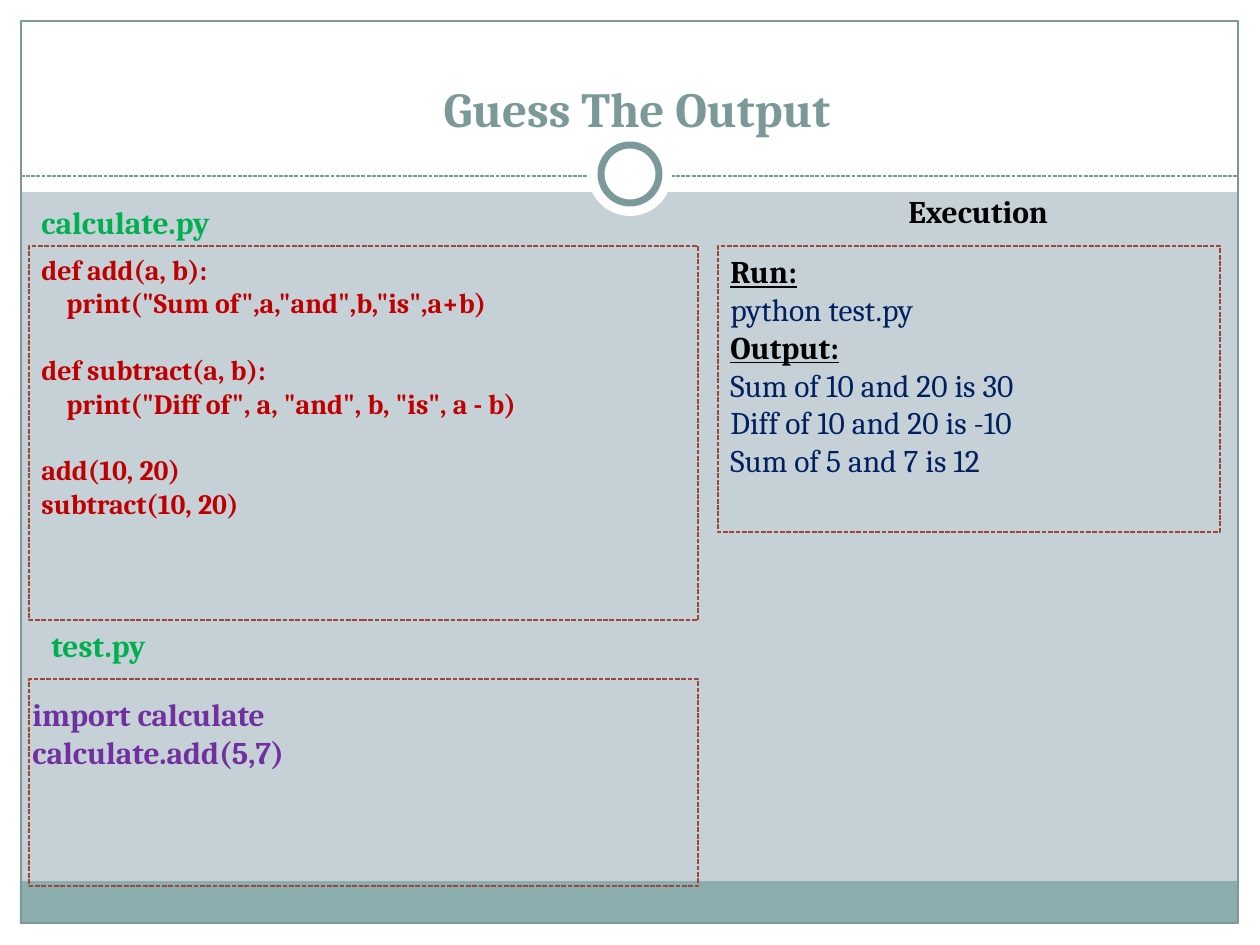
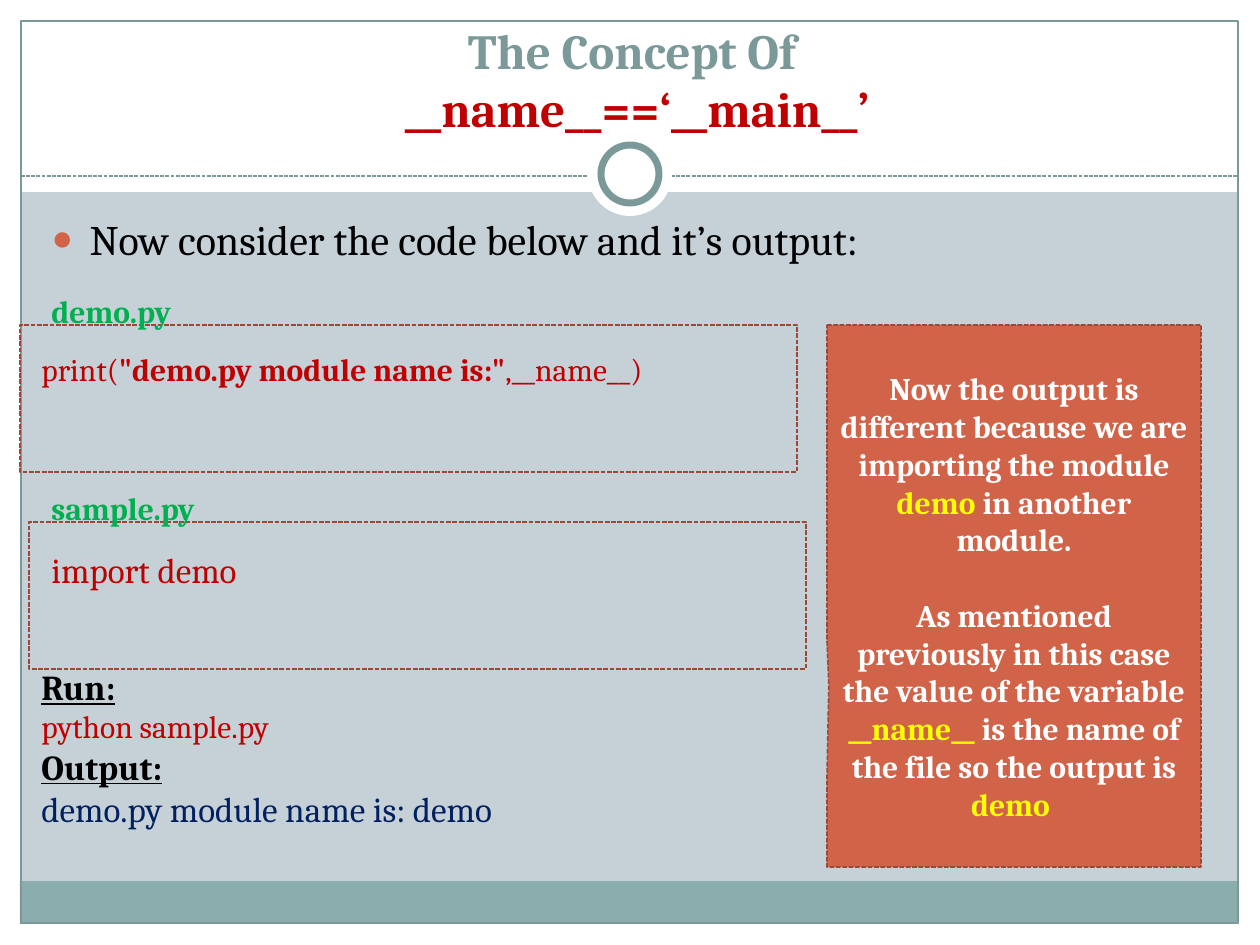
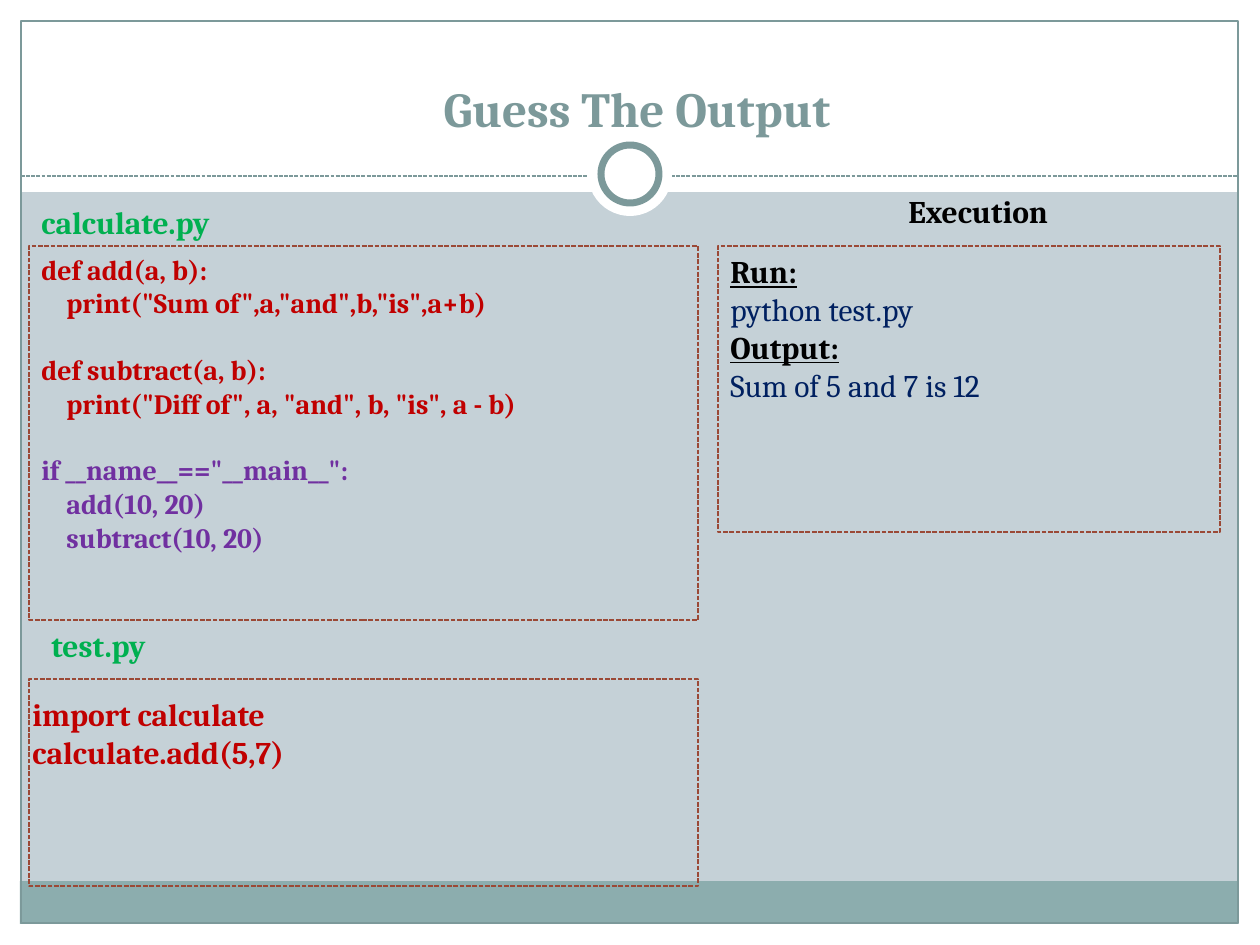
from dataclasses import dataclass
from typing import Any

from lxml import etree
from pptx import Presentation
from pptx.dml.color import RGBColor
from pptx.enum.dml import MSO_LINE
from pptx.enum.shapes import MSO_CONNECTOR, MSO_SHAPE
from pptx.enum.text import MSO_ANCHOR, MSO_AUTO_SIZE, PP_ALIGN
from pptx.oxml.ns import qn
from pptx.util import Pt

RECT, OVAL = MSO_SHAPE.RECTANGLE, MSO_SHAPE.OVAL
CALLOUT = MSO_SHAPE.RECTANGULAR_CALLOUT
STRAIGHT = MSO_CONNECTOR.STRAIGHT
DASH = MSO_LINE.SQUARE_DOT
CENTER = PP_ALIGN.CENTER
TOP, MIDDLE, BOTTOM = MSO_ANCHOR.TOP, MSO_ANCHOR.MIDDLE, MSO_ANCHOR.BOTTOM
FIXED = MSO_AUTO_SIZE.NONE

SCALE = 914400 / 126
WIDE, HIGH, EDGE = 1260, 945, 21
TITLE_ONLY, TITLE_BODY = 5, 1
FACE = "Cambria"
INDENT = 25  # one step of code indentation
COLORS = {
    "back": "C5D1D7", "white": "FFFFFF", "band": "8CADAE", "slate": "7C999A",
    "rust": "9B4936", "coral": "D16349", "red": "C00000", "green": "00B050",
    "navy": "002060", "violet": "7030A0", "black": "000000", "yellow": "FFFF00",
}


def emu(pixels):
    """Turn pixels into EMU."""
    return round(pixels * SCALE)


def rgb(name):
    """Look up a colour by name."""
    return RGBColor.from_string(COLORS[name])


def look(size, color, bold=False, underline=False):
    """Describe the format of a run."""
    return {"size": Pt(size), "color": color, "bold": bold, "underline": underline}


def row(*runs, indent=0, **form):
    """Describe a paragraph: runs of (text, look), indent and format."""
    return runs, indent, form


def rows(texts, style):
    """Describe plain paragraphs that share one look."""
    return [row((text, style)) for text in texts]


HEAD = look(28, "slate", True)
FILE = look(18, "green", True)
LABEL = look(18, "black", True)
KEY = look(18, "black", True, True)
OUT = look(18, "navy")
CODE = look(16, "red", True)
MAIN = look(16, "violet", True)


@dataclass
class Deck:
    """The shared style and the current slide."""

    prs: Any
    slide: Any = None

    def start(self, kind, heads):
        """Add a slide with its title lines."""
        self.slide = self.prs.slides.add_slide(self.prs.slide_layouts[kind])
        self.place(self.slide.shapes.title, (49, 39, 1176, 105), heads, BOTTOM)

    def place(self, holder, box, lines, anchor=TOP):
        """Move a placeholder and fill it with text."""
        for name, value in zip(("left", "top", "width", "height"), box):
            setattr(holder, name, emu(value))
        self.fill_text(holder.text_frame, lines, anchor)

    def fill_text(self, frame, lines, anchor=TOP):
        """Fill a text frame with described paragraphs."""
        frame.word_wrap = True
        frame.auto_size = FIXED
        frame.vertical_anchor = anchor
        for i, (runs, indent, form) in enumerate(lines):
            para = frame.add_paragraph() if i else frame.paragraphs[0]
            for name, value in form.items():
                setattr(para, name, value)
            if indent:
                para._p.get_or_add_pPr().set("marL", str(emu(indent)))
            for text, style in runs:
                run = para.add_run()
                run.text = text
                run.font.name = FACE
                for name, value in style.items():
                    if name == "color":
                        run.font.color.rgb = rgb(value)
                    else:
                        setattr(run.font, name, value)

    def text(self, box, lines):
        """Add a text box."""
        shape = self.slide.shapes.add_textbox(*map(emu, box))
        self.fill_text(shape.text_frame, lines)

    def stroke(self, line, color, width, dash=None):
        """Format an outline or a line."""
        line.color.rgb = rgb(color)
        line.width = Pt(width)
        if dash:
            line.dash_style = dash

    def shape(self, kind, box, fill=None, line=None):
        """Add a preset shape; line is (colour, width, dash)."""
        shape = self.slide.shapes.add_shape(kind, *map(emu, box))
        shape.shadow.inherit = False
        if fill:
            shape.fill.solid()
            shape.fill.fore_color.rgb = rgb(fill)
        else:
            shape.fill.background()
        if line:
            self.stroke(shape.line, *line)
        else:
            shape.line.fill.background()
        return shape

    def frame(self, box, kind=RECT, fill=None):
        """Add a shape with the dashed rust outline."""
        return self.shape(kind, box, fill, ("rust", 0.9, DASH))

    def rule(self, left, right, y):
        """Add a dashed level line."""
        line = self.slide.shapes.add_connector(
            STRAIGHT, emu(left), emu(y), emu(right), emu(y))
        self.stroke(line.line, "slate", 0.75, DASH)
        etree.SubElement(line.element.spPr, qn("a:effectLst"))
        return line

    def bullet(self, para):
        """Give a paragraph the coral dot and its hanging indent."""
        props = para._p.get_or_add_pPr()
        props.set("marL", str(emu(38)))
        props.set("indent", str(-emu(38)))
        tint = etree.SubElement(props, qn("a:buClr"))
        etree.SubElement(tint, qn("a:srgbClr"), val=COLORS["coral"])
        etree.SubElement(props, qn("a:buSzPct"), val="85000")
        etree.SubElement(props, qn("a:buChar"), char="●")

    def theme(self):
        """Draw bands, border and ring, and hand them to the master."""
        master = self.prs.slide_master
        master.background.fill.solid()
        master.background.fill.fore_color.rgb = rgb("back")
        right = WIDE - EDGE
        sides = ((0, HIGH - EDGE, WIDE, EDGE), (0, 0, WIDE, 192),
                 (0, 0, EDGE, HIGH), (right, 0, EDGE, HIGH))
        parts = [self.shape(RECT, box, "white") for box in sides]
        parts += [
            self.shape(RECT, (20, 881, 1218, 43), "band"),
            self.shape(RECT, (EDGE, EDGE, 1217, 902), line=("slate", 0.75)),
            self.rule(EDGE, right, 176),
            self.shape(OVAL, (588, 132, 84, 84), "white"),
            self.shape(OVAL, (601, 145, 58, 58), "white", ("slate", 4)),
        ]
        tree = master.shapes.element
        for i, part in enumerate(parts):
            part.element.xpath(".//p:cNvPr")[0].set("id", str(100 + i))
            tree.insert(2 + i, part.element)


def guess(deck, calls, color, results):
    """Fill a slide that shows two files and their output."""
    gap = Pt(19)
    deck.frame((29, 246, 669, 374))
    deck.text((29, 246, 650, 317), [
        row(("def add(a, b):", CODE)),
        row(('print("Sum of",a,"and",b,"is",a+b)', CODE), indent=INDENT),
        row(("def subtract(a, b):", CODE), space_before=gap),
        row(('print("Diff of", a, "and", b, "is", a - b)', CODE), indent=INDENT),
        *calls,
    ])
    deck.text((29, 197, 220, 50), rows(["calculate.py"], FILE))
    deck.frame((29, 679, 669, 207))
    deck.text((39, 620, 135, 50), rows(["test.py"], FILE))
    deck.frame((718, 246, 502, 286))
    deck.text((718, 246, 502, 242), [
        row(("Run:", KEY)), row(("python test.py", OUT)),
        row(("Output:", KEY)), *rows(results, OUT)])
    deck.text((896, 186, 190, 50), rows(["Execution"], LABEL))
    deck.text((20, 689, 319, 89),
              rows(["import calculate", "calculate.add(5,7)"], look(18, color, True)))


def concept(deck):
    """Fill the slide on the module name."""
    body = deck.slide.placeholders[1]
    deck.place(body, (39, 207, 1172, 669), rows(
        ["Now consider the code below and it’s output:"], look(24, "black")))
    deck.bullet(body.text_frame.paragraphs[0])
    plain, strong = look(18, "red"), look(18, "red", True)
    deck.frame((20, 325, 777, 147))
    deck.text((39, 286, 166, 50), rows(["demo.py"], FILE))
    deck.text((29, 344, 738, 50), [row(
        ("print(", plain), ('"demo.py module name is:"', strong), (",__name__)", plain))])
    key = look(20, "black", True, True)
    deck.text((29, 659, 524, 220), [
        row(("Run:", key)), row(("python sample.py", plain)),
        row(("Output:", key)),
        row(("demo.py module name is: demo", look(20, "navy")))])
    note = deck.frame((827, 325, 374, 542), CALLOUT, "coral")
    note.adjustments[0], note.adjustments[1] = -0.495, 0.166
    white, bright = look(18, "white", True), look(18, "yellow", True)
    deck.fill_text(note.text_frame, [
        row(("Now the output is different because we are importing the module ", white),
            ("demo", bright), (" in another module.", white), alignment=CENTER),
        row(("As mentioned previously in this case the value of the variable ", white),
            ("__name__ ", bright),
            ("is the name of the file so the output is ", white),
            ("demo ", bright), alignment=CENTER, space_before=Pt(21.5)),
    ], MIDDLE)
    deck.frame((29, 522, 777, 147))
    deck.text((39, 483, 193, 50), rows(["sample.py"], FILE))
    deck.text((39, 542, 738, 55), rows(["import demo"], look(20, "red")))


def main():
    """Build the three slides and save them."""
    prs = Presentation()
    prs.slide_width, prs.slide_height = emu(WIDE), emu(HIGH)
    deck = Deck(prs)
    quiz = [row(("Guess The Output", HEAD), alignment=CENTER)]
    last = "Sum of 5 and 7 is 12"

    deck.start(TITLE_ONLY, quiz)
    deck.theme()
    guess(deck, [row(("add(10, 20)", CODE), space_before=Pt(19)),
                 row(("subtract(10, 20)", CODE))], "violet",
          ["Sum of 10 and 20 is 30", "Diff of 10 and 20 is -10", last])

    deck.start(TITLE_BODY, [
        row(("The Concept Of ", HEAD), alignment=CENTER),
        row(("__name__==‘__main__’", look(28, "red", True)), alignment=CENTER)])
    concept(deck)

    deck.start(TITLE_ONLY, quiz)
    guess(deck, [row(('if __name__=="__main__":', MAIN), space_before=Pt(19)),
                 row(("add(10, 20)", MAIN), indent=INDENT),
                 row(("subtract(10, 20)", MAIN), indent=INDENT)], "red", [last])

    prs.save("out.pptx")


main()
